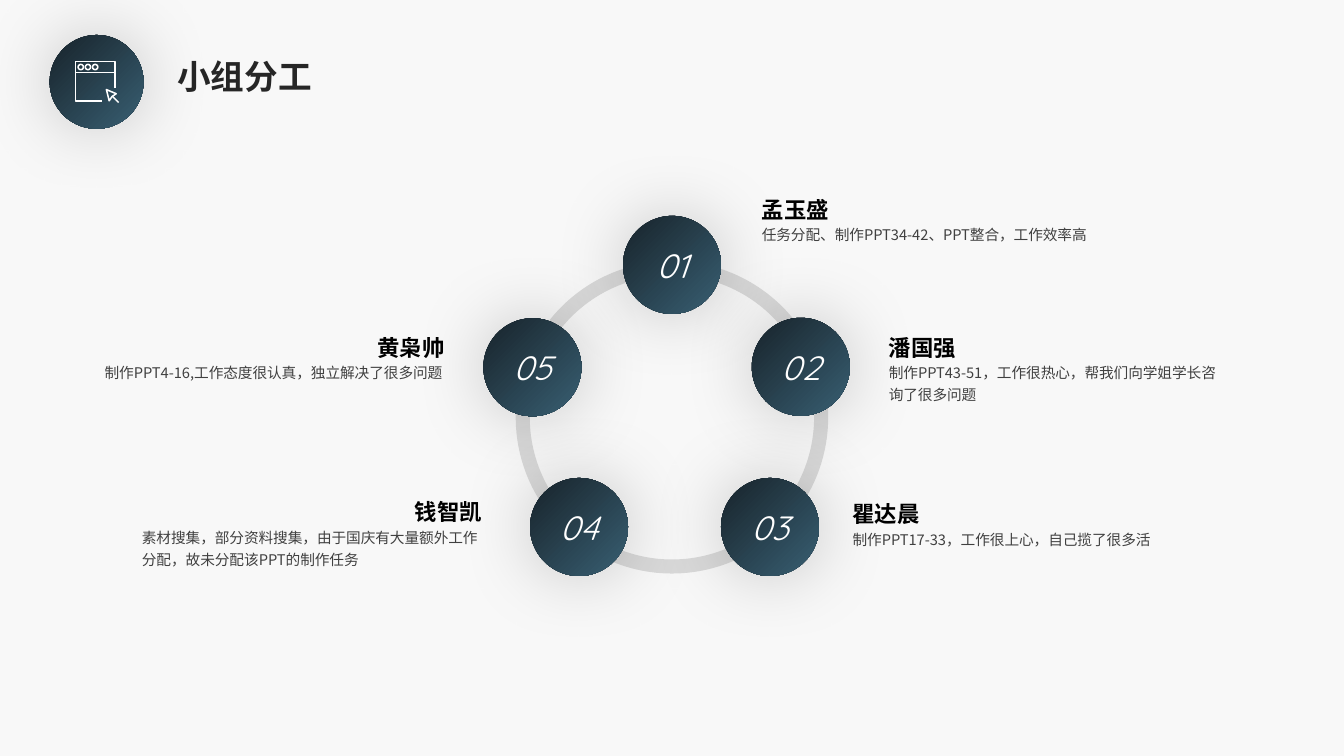
from dataclasses import dataclass

from lxml.etree import SubElement
from pptx import Presentation
from pptx.dml.color import RGBColor
from pptx.enum.shapes import MSO_CONNECTOR, MSO_SHAPE
from pptx.enum.text import MSO_ANCHOR, MSO_AUTO_SIZE, PP_ALIGN
from pptx.oxml.ns import qn
from pptx.shapes.autoshape import Shape
from pptx.slide import Slide
from pptx.text.text import TextFrame
from pptx.util import Pt

COLORS = {
    "background": "F8F8F8",
    "gradient_start": "17232B",
    "gradient_end": "395F72",
    "ring": "D9D9D9",
    "white": "FFFFFF",
    "shadow": "000000",
    "title": "262626",
    "name": "000000",
    "duty": "404040",
}
CJK_FONT = "Noto Sans CJK SC"
NUMBER_FONT = "Quicksand"
BADGE_SIZE = 70
NAME_WIDTH = 161.3
DUTY_WIDTH = 257
DUTY_OFFSET = 22.3
ICON_STROKE = 1.1


@dataclass(frozen=True)
class Member:
    name: str
    duty: str
    center_x: float
    center_y: float
    text_left: float
    text_top: float
    duty_height: float
    name_align: PP_ALIGN = PP_ALIGN.LEFT


MEMBERS = [
    Member("孟玉盛", "任务分配、制作PPT34-42、PPT整合，工作效率高",
           480, 189.2, 537.1, 132.5, 23),
    Member("潘国强", "制作PPT43-51，工作很热心，帮我们向学姐学长咨询了很多问题",
           572, 262, 627.8, 231.1, 39),
    Member("瞿达晨", "制作PPT17-33，工作很上心，自己揽了很多活",
           550, 376.4, 601.9, 349.9, 23),
    Member("钱智凯", "素材搜集，部分资料搜集，由于国庆有大量额外工作分配，故未分配该PPT的制作任务",
           413.6, 376.4, 94.3, 348.5, 39, PP_ALIGN.RIGHT),
    Member("黄枭帅", "制作PPT4-16,工作态度很认真，独立解决了很多问题",
           380.3, 262.3, 67.7, 231.1, 39, PP_ALIGN.RIGHT),
]


def color(key: str) -> RGBColor:
    return RGBColor.from_string(COLORS[key])


def write(frame: TextFrame, text: str, size: float, color_key: str,
          font_name: str = CJK_FONT, bold: bool = False, italic: bool = False,
          align: PP_ALIGN = PP_ALIGN.LEFT, spacing: float = 1.0) -> None:
    frame.text = text
    paragraph = frame.paragraphs[0]
    paragraph.alignment = align
    paragraph.line_spacing = spacing
    run = paragraph.runs[0]
    run.font.size = Pt(size)
    run.font.bold = bold
    run.font.italic = italic
    run.font.color.rgb = color(color_key)
    run.font.name = font_name
    SubElement(run.font._element, qn("a:ea"), typeface=font_name)


def add_label(slide: Slide, left: float, top: float, width: float, height: float,
              text: str, size: float, color_key: str, spacing: float,
              bold: bool = False, align: PP_ALIGN = PP_ALIGN.LEFT) -> None:
    label = slide.shapes.add_textbox(Pt(left), Pt(top), Pt(width), Pt(height))
    frame = label.text_frame
    frame.word_wrap = True
    frame.auto_size = MSO_AUTO_SIZE.SHAPE_TO_FIT_TEXT
    write(frame, text, size, color_key, bold=bold, align=align, spacing=spacing)


def add_badge(slide: Slide, center_x: float, center_y: float, size: float) -> Shape:
    badge = slide.shapes.add_shape(
        MSO_SHAPE.OVAL, Pt(center_x - size / 2), Pt(center_y - size / 2), Pt(size), Pt(size))
    badge.fill.gradient()
    badge.fill.gradient_angle = 315
    stops = badge.fill.gradient_stops
    for stop, position, key in zip(stops, (0, 1), ("gradient_start", "gradient_end")):
        stop.position = position
        stop.color.rgb = color(key)
    badge.line.fill.background()
    badge.shadow.inherit = False
    effects = badge._element.spPr.find(qn("a:effectLst"))
    glow = SubElement(effects, qn("a:outerShdw"), blurRad=str(Pt(53)), dist="0",
                      dir="0", algn="ctr", rotWithShape="0")
    tint = SubElement(glow, qn("a:srgbClr"), val=COLORS["shadow"])
    SubElement(tint, qn("a:alpha"), val="20000")
    return badge


def outline(part: Shape) -> None:
    part.fill.background()
    part.line.color.rgb = color("white")
    part.line.width = Pt(ICON_STROKE)
    part.shadow.inherit = False


def add_icon_path(slide: Slide, points: list[tuple[float, float]], close: bool) -> None:
    builder = slide.shapes.build_freeform(*points[0], scale=float(Pt(1)))
    builder.add_line_segments(points[1:], close=close)
    outline(builder.convert_to_shape())


def add_icon_line(slide: Slide, x1: float, y1: float, x2: float, y2: float) -> None:
    stroke = slide.shapes.add_connector(
        MSO_CONNECTOR.STRAIGHT, Pt(x1), Pt(y1), Pt(x2), Pt(y2))
    stroke.line.color.rgb = color("white")
    stroke.line.width = Pt(ICON_STROKE)
    SubElement(stroke._element.spPr, qn("a:effectLst"))


def add_window_icon(slide: Slide) -> None:
    add_badge(slide, 69, 58.5, 67)
    add_icon_path(slide, [(82.3, 62.7), (82.3, 43.8), (53.8, 43.8),
                          (53.8, 71.6), (73.4, 71.6)], close=False)
    add_icon_line(slide, 53.8, 51.8, 82.3, 51.8)
    for index in range(3):
        button = slide.shapes.add_shape(
            MSO_SHAPE.OVAL, Pt(55.8 + 5.15 * index), Pt(46), Pt(3.8), Pt(3.8))
        outline(button)
    add_icon_path(slide, [(75.6, 64.1), (83.4, 67.3), (80.2, 68.7), (78.4, 72.3)], close=True)
    add_icon_line(slide, 80.2, 68.7, 84.7, 73.2)


def add_title(slide: Slide) -> None:
    title = slide.shapes.title
    title.left, title.top, title.width, title.height = Pt(119.5), Pt(36), Pt(259.2), Pt(36)
    frame = title.text_frame
    frame.word_wrap = True
    frame.vertical_anchor = MSO_ANCHOR.TOP
    frame.auto_size = MSO_AUTO_SIZE.SHAPE_TO_FIT_TEXT
    write(frame, "小组分工", 24, "title", bold=True)


def add_ring(slide: Slide) -> None:
    ring = slide.shapes.add_shape(MSO_SHAPE.DONUT, Pt(368.4), Pt(186.5), Pt(223.2), Pt(223.2))
    ring.adjustments[0] = 0.045
    ring.fill.solid()
    ring.fill.fore_color.rgb = color("ring")
    ring.line.fill.background()
    ring.shadow.inherit = False


def add_number(slide: Slide, number: int, member: Member) -> None:
    badge = add_badge(slide, member.center_x, member.center_y, BADGE_SIZE)
    frame = badge.text_frame
    frame.word_wrap = False
    frame.vertical_anchor = MSO_ANCHOR.MIDDLE
    write(frame, f"{number:02d}", 24, "white", NUMBER_FONT, italic=True, align=PP_ALIGN.CENTER)


def add_description(slide: Slide, member: Member) -> None:
    name_left = member.text_left
    if member.name_align == PP_ALIGN.RIGHT:
        name_left += DUTY_WIDTH - NAME_WIDTH
    add_label(slide, member.text_left, member.text_top + DUTY_OFFSET, DUTY_WIDTH,
              member.duty_height, member.duty, 10.5, "duty", 1.25)
    add_label(slide, name_left, member.text_top, NAME_WIDTH, 28.8, member.name,
              16, "name", 1.2, bold=True, align=member.name_align)


def main() -> None:
    deck = Presentation()
    deck.slide_width, deck.slide_height = Pt(960), Pt(540)
    slide = deck.slides.add_slide(deck.slide_layouts[5])
    slide.background.fill.solid()
    slide.background.fill.fore_color.rgb = color("background")
    add_window_icon(slide)
    add_title(slide)
    add_ring(slide)
    for number, member in enumerate(MEMBERS, start=1):
        add_number(slide, number, member)
    for member in MEMBERS:
        add_description(slide, member)
    deck.save("out.pptx")


if __name__ == "__main__":
    main()
